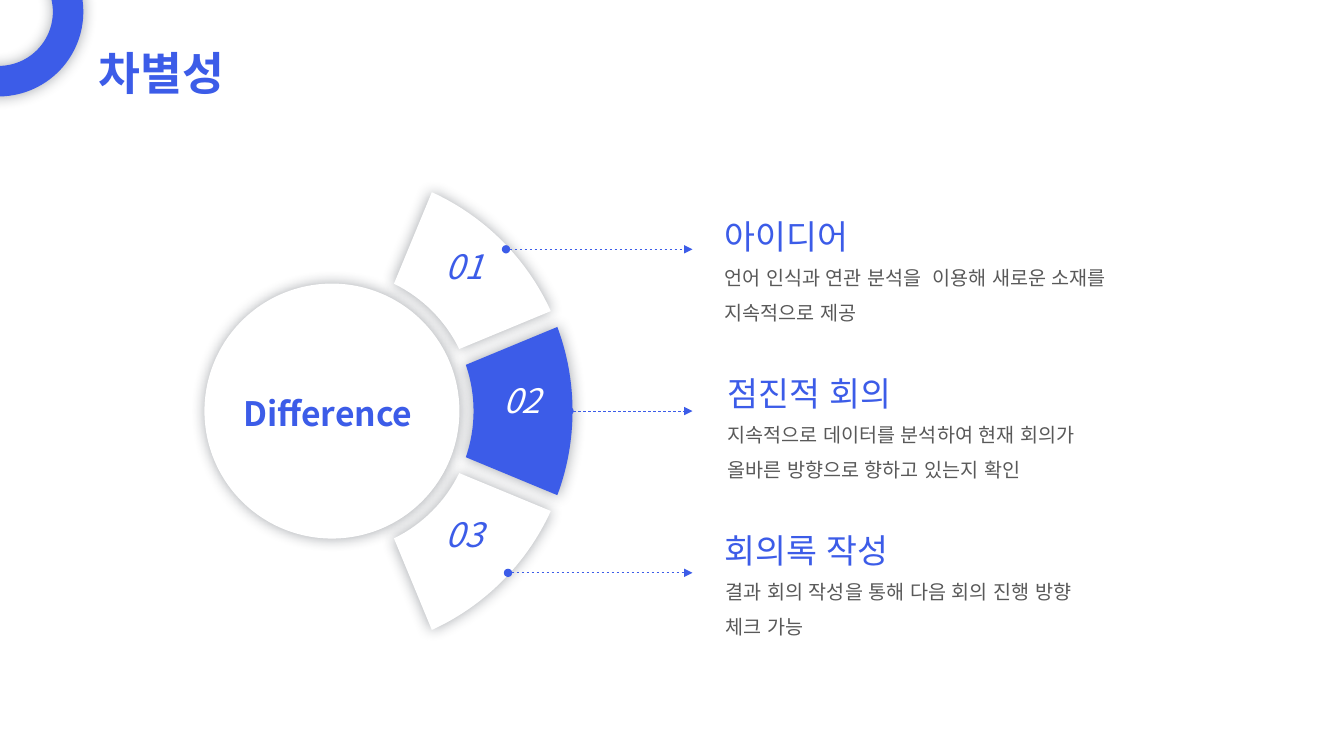
"""Build the differentiation slide: a hub, three ring segments and their explanations."""
from dataclasses import dataclass
from math import asin, cos, radians, sin, tan

from lxml.etree import SubElement
from pptx import Presentation
from pptx.dml.color import RGBColor
from pptx.enum.dml import MSO_LINE
from pptx.enum.lang import MSO_LANGUAGE_ID
from pptx.enum.shapes import MSO_CONNECTOR, MSO_SHAPE
from pptx.enum.text import MSO_ANCHOR, MSO_AUTO_SIZE, PP_ALIGN
from pptx.oxml.ns import qn
from pptx.util import Emu, Pt

COLUMNS, ROWS = 80, 45
CELL = 152400
BLUE = RGBColor(0x3C, 0x5C, 0xE8)
WHITE = RGBColor(0xFF, 0xFF, 0xFF)
GRAY = RGBColor(0x59, 0x59, 0x59)
SHADOW = RGBColor(0x22, 0x2A, 0x35)
FONT = "Noto Sans CJK KR"

CENTER_X, CENTER_Y = 19.76, 24.47
HUB_RADIUS, INNER_RADIUS, OUTER_RADIUS = 7.59, 8.43, 14.32
HALF_GAP = 0.51
SEGMENT_ANGLE = 45
ARROW_END = 41.22
ARROW_STEP, NUMBER_STEP, TEXT_STEP = 9.63, 8, 9.36
PADDING = (1.6, 0.8)


@dataclass
class Point:
    """One numbered point and the columns where its parts stand."""
    number: str
    heading: str
    body: str
    fill: RGBColor
    number_color: RGBColor
    number_left: float
    arrow_left: float
    heading_left: float
    body_left: float
    body_width: float


POINTS = [
    Point("01", "아이디어", "언어 인식과 연관 분석을  이용해 새로운 소재를 지속적으로 제공",
          WHITE, BLUE, 25.32, 30.12, 41.52, 41.52, 28.5),
    Point("02", "점진적 회의", "지속적으로 데이터를 분석하여 현재 회의가 올바른 방향으로 향하고 있는지 확인",
          BLUE, WHITE, 28.76, 33.9, 41.7, 41.7, 26.1),
    Point("03", "회의록 작성", "결과 회의 작성을 통해 다음 회의 진행 방향 체크 가능",
          WHITE, BLUE, 25.32, 30.24, 41.52, 41.6, 26.1),
]


def cells(count):
    """Turn a number of grid cells into a length."""
    return Emu(round(count * CELL))


def finish_shape(shape, fill):
    """Fill a shape, remove its line and give it a soft glow-like shadow."""
    shape.fill.solid()
    shape.fill.fore_color.rgb = fill
    shape.line.fill.background()
    shape.shadow.inherit = False
    effects = shape._element.spPr.find(qn("a:effectLst"))
    shadow = SubElement(effects, qn("a:outerShdw"), blurRad=str(Pt(10)), dist="0",
                        dir="0", algn="ctr", rotWithShape="0")
    color = SubElement(shadow, qn("a:srgbClr"), val=str(SHADOW))
    SubElement(color, qn("a:alpha"), val="40000")


def add_round(page, kind, left, top, size, fill):
    """Add a circular preset shape."""
    shape = page.shapes.add_shape(kind, cells(left), cells(top), cells(size), cells(size))
    finish_shape(shape, fill)
    return shape


def arc(radius, middle):
    """Give an arc's two ends and the two curve handles between them."""
    half = radians(SEGMENT_ANGLE / 2) - asin(HALF_GAP / radius)
    handle = 4 / 3 * tan(half / 2)
    corners = [(middle - half, 0), (middle - half, handle),
               (middle + half, -handle), (middle + half, 0)]
    return [(cells(CENTER_X + radius * (cos(angle) - reach * sin(angle))),
             cells(CENTER_Y + radius * (sin(angle) + reach * cos(angle))))
            for angle, reach in corners]


def bend(lines):
    """Join three line steps into one curve."""
    curve = lines[0].getparent().makeelement(qn("a:cubicBezTo"))
    lines[0].addprevious(curve)
    for line in lines:
        curve.append(line[0])
        line.getparent().remove(line)


def add_segment(page, position, fill):
    """Add a ring segment; position 0 points straight right."""
    middle = radians(position * SEGMENT_ANGLE)
    outline = arc(OUTER_RADIUS, middle) + arc(INNER_RADIUS, middle)[::-1]
    builder = page.shapes.build_freeform(*outline[0])
    builder.add_line_segments(outline[1:], close=True)
    segment = builder.convert_to_shape()
    lines = list(segment._element.iter(qn("a:lnTo")))
    bend(lines[:3])
    bend(lines[4:7])
    finish_shape(segment, fill)


def add_arrow(page, left, top):
    """Add a dashed leader from a dot to an arrowhead."""
    arrow = page.shapes.add_connector(MSO_CONNECTOR.STRAIGHT, cells(left), cells(top),
                                      cells(ARROW_END), cells(top))
    arrow.line.color.rgb = BLUE
    arrow.line.width = Pt(0.5)
    arrow.line.dash_style = MSO_LINE.DASH
    line = arrow.line._get_or_add_ln()
    SubElement(line, qn("a:headEnd"), type="oval")
    SubElement(line, qn("a:tailEnd"), type="triangle")
    SubElement(arrow._element.spPr, qn("a:effectLst"))


def add_text(page, text, area, size, color, padding=PADDING, align=PP_ALIGN.LEFT,
             anchor=MSO_ANCHOR.TOP, fit=MSO_AUTO_SIZE.SHAPE_TO_FIT_TEXT,
             bold=False, italic=False):
    """Add a one-paragraph text box and return its paragraph."""
    box = page.shapes.add_textbox(*[cells(length) for length in area])
    frame = box.text_frame
    frame.word_wrap = True
    frame.auto_size = fit
    frame.vertical_anchor = anchor
    frame.margin_left = frame.margin_right = cells(padding[0])
    frame.margin_top = frame.margin_bottom = cells(padding[1])
    para = frame.paragraphs[0]
    para.alignment = align
    span = para.add_run()
    span.text = text
    span.font.name = FONT
    span.font.size = Pt(size)
    span.font.bold = bold
    span.font.italic = italic
    span.font.color.rgb = color
    span.font.language_id = MSO_LANGUAGE_ID.KOREAN
    SubElement(span._r.get_or_add_rPr(), qn("a:ea"), typeface=FONT)
    return para


def add_body(page, text, area):
    """Add an explanation with open line spacing."""
    para = add_text(page, text, area, 14, GRAY, fit=MSO_AUTO_SIZE.NONE)
    para.line_spacing = 1.5
    before = SubElement(para._p.get_or_add_pPr(), qn("a:spcBef"))
    SubElement(before, qn("a:spcPct"), val="20000")


def add_point(page, index, point):
    """Add a segment with its number, leader, heading and explanation."""
    position = index - 1
    add_segment(page, position, point.fill)
    add_arrow(page, point.arrow_left, CENTER_Y + position * ARROW_STEP)
    add_text(page, point.number, (point.number_left, 22.62 + position * NUMBER_STEP, 4.6, 2.4),
             24, point.number_color, (0, 0), PP_ALIGN.CENTER, italic=True)
    top = 21.38 + position * TEXT_STEP
    add_text(page, point.heading, (point.heading_left, top, 23, 4.02), 24, BLUE,
             anchor=MSO_ANCHOR.MIDDLE)
    add_body(page, point.body, (point.body_left, top + 2.28, point.body_width, 4.02))


def add_hub(page):
    """Add the central circle and its label."""
    add_round(page, MSO_SHAPE.OVAL, CENTER_X - HUB_RADIUS, CENTER_Y - HUB_RADIUS,
              2 * HUB_RADIUS, WHITE)
    add_text(page, "Difference", (12.02, 22.6, 15, 4.02), 24, BLUE, align=PP_ALIGN.CENTER,
             anchor=MSO_ANCHOR.MIDDLE, bold=True)


def add_title(page):
    """Add the corner ring and the slide title."""
    ring = add_round(page, MSO_SHAPE.DONUT, -5.12, -4.34, 10.08, BLUE)
    ring.adjustments[0] = 0.18
    add_text(page, "차별성", (5.28, 2.4, 27.7, 3.9), 32.5, BLUE, (0.6, 0.3), bold=True)


def main():
    """Build and save the deck."""
    deck = Presentation()
    deck.slide_width, deck.slide_height = cells(COLUMNS), cells(ROWS)
    page = deck.slides.add_slide(deck.slide_layouts[6])
    add_hub(page)
    for index, point in enumerate(POINTS):
        add_point(page, index, point)
    add_title(page)
    deck.save("out.pptx")


if __name__ == "__main__":
    main()
